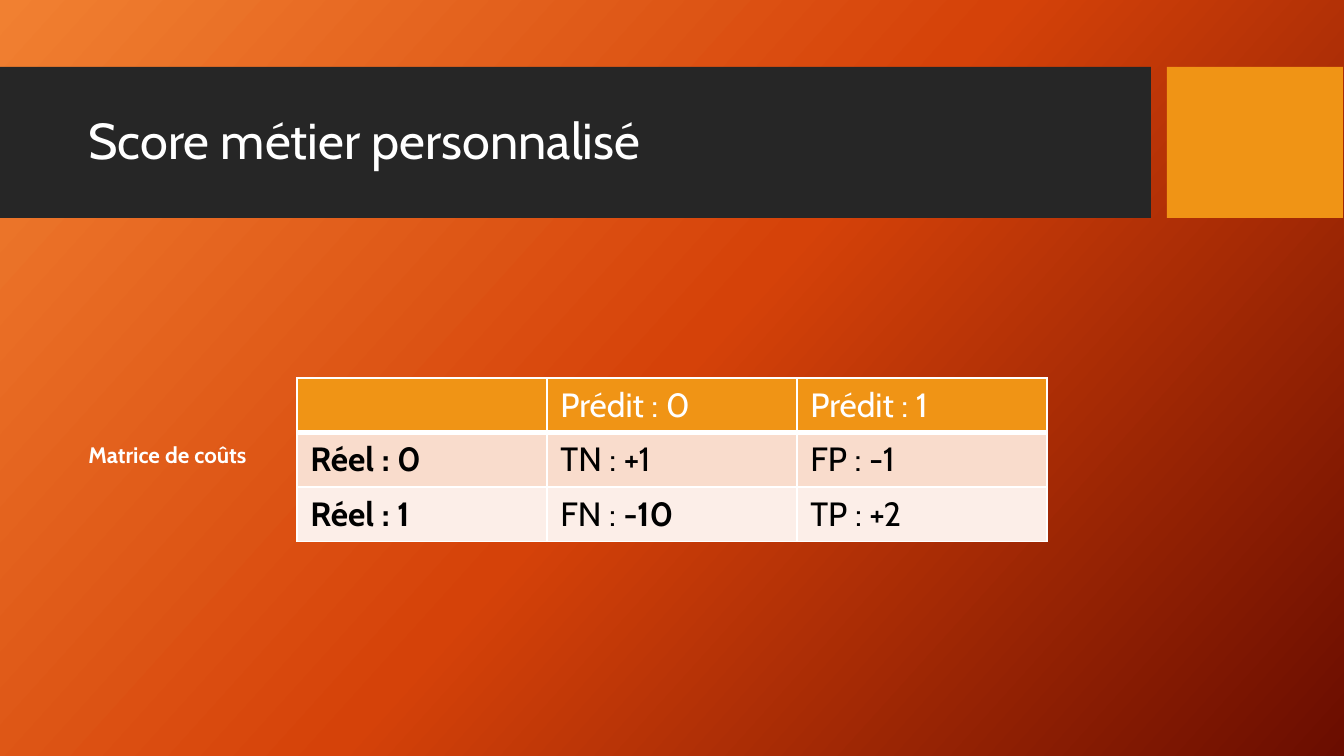
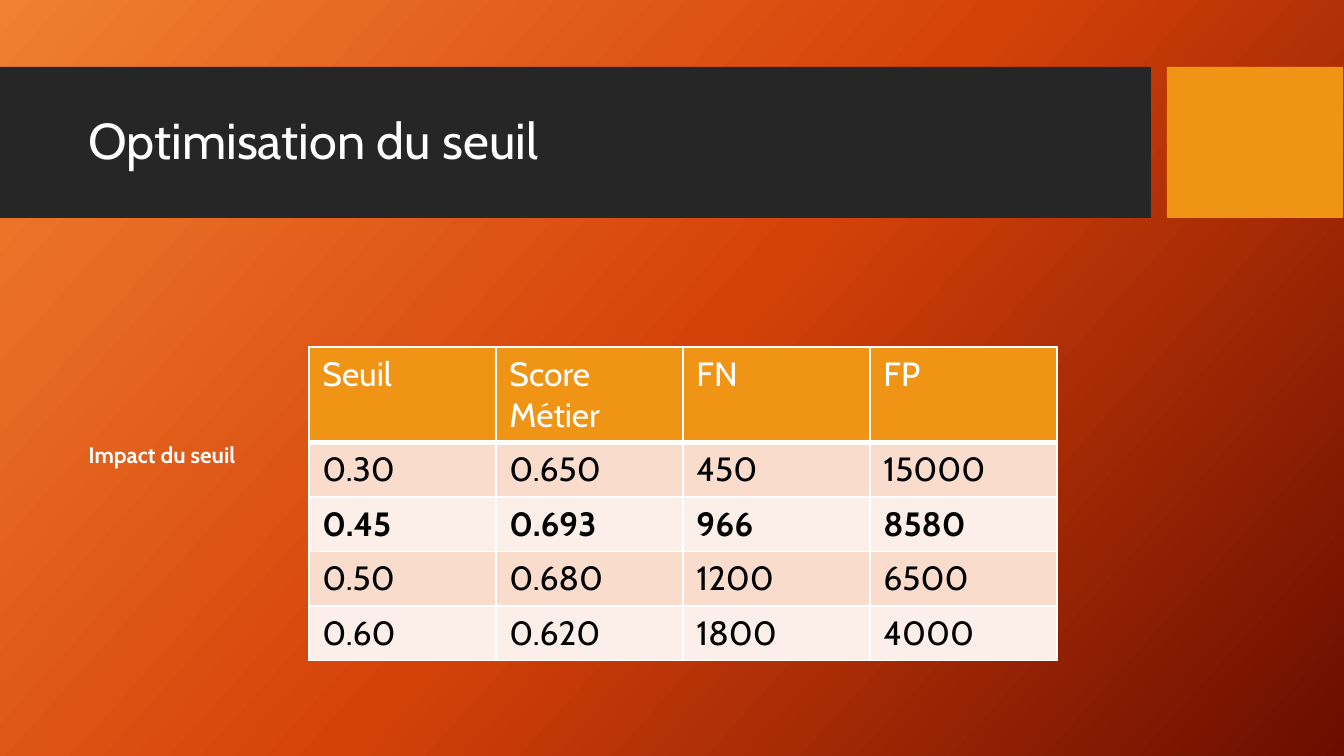
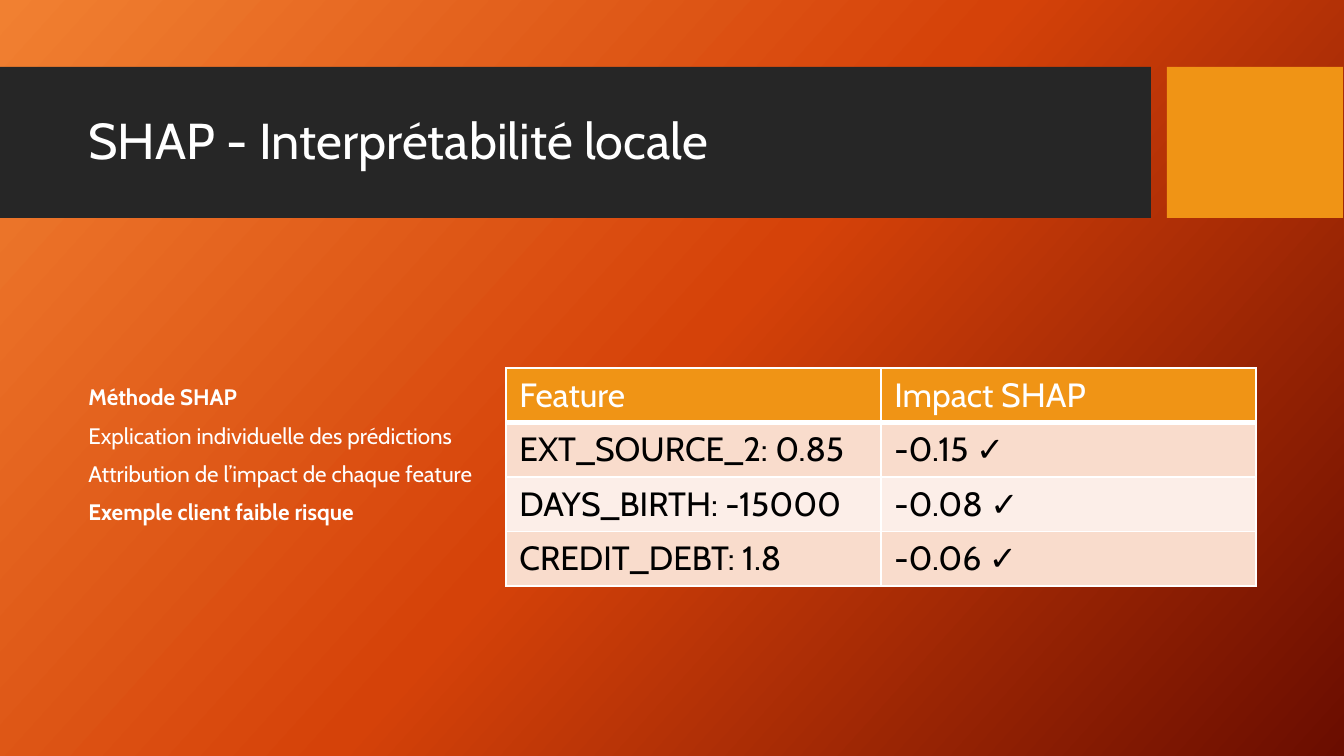
from copy import deepcopy
from dataclasses import dataclass

from lxml.etree import SubElement
from pptx import Presentation
from pptx.dml.color import RGBColor
from pptx.enum.shapes import MSO_SHAPE
from pptx.enum.text import MSO_ANCHOR, MSO_AUTO_SIZE, PP_ALIGN
from pptx.oxml.ns import qn
from pptx.util import Pt

EMU_PER_PX = 914400 / 134.4
FONT = "Cabin"
WHITE = RGBColor(0xFF, 0xFF, 0xFF)
BLACK = RGBColor(0x00, 0x00, 0x00)
CHARCOAL = RGBColor(0x26, 0x26, 0x26)
AMBER = RGBColor(0xF0, 0x94, 0x15)
PEACH = RGBColor(0xF9, 0xDC, 0xCC)
CREAM = RGBColor(0xFC, 0xEE, 0xE8)
BACKDROP = (
    (0.0, RGBColor(0xF1, 0x80, 0x31)),
    (0.5, RGBColor(0xD5, 0x42, 0x09)),
    (1.0, RGBColor(0x6A, 0x0D, 0x00)),
)
BACKDROP_ANGLE = 42
SECTION_LAYOUT = 2
ROW_HEIGHT = 44


@dataclass(frozen=True)
class Box:
    left: int
    top: int
    width: int
    height: int


@dataclass(frozen=True)
class Band:
    box: Box
    color: RGBColor


@dataclass(frozen=True)
class Span:
    text: str
    bold: bool = False


Line = tuple[Span, ...]


@dataclass(frozen=True)
class Grid:
    left: int
    top: int
    column_width: int
    rows: tuple[tuple[Line, ...], ...]


@dataclass(frozen=True)
class TablePage:
    title: str
    notes: tuple[Line, ...]
    grid: Grid


def plain(*texts: str) -> tuple[Line, ...]:
    return tuple((Span(text),) for text in texts)


def strong(*texts: str) -> tuple[Line, ...]:
    return tuple((Span(text, bold=True),) for text in texts)


TITLE_BOX = Box(75, 83, 1060, 120)
NOTES_BOX = Box(75, 258, 418, 396)
BANDS = (
    Band(Box(0, 67, 1151, 151), CHARCOAL),
    Band(Box(1167, 67, 176, 151), AMBER),
)
PAGES = (
    TablePage(
        "Score métier personnalisé",
        strong("Matrice de coûts"),
        Grid(297, 378, 250, (
            plain("", "Prédit : 0", "Prédit : 1"),
            strong("Réel : 0") + plain("TN : +1", "FP : -1"),
            strong("Réel : 1")
            + ((Span("FN : "), Span("-10", bold=True)),)
            + plain("TP : +2"),
        )),
    ),
    TablePage(
        "Optimisation du seuil",
        strong("Impact du seuil"),
        Grid(309, 347, 187, (
            plain("Seuil", "Score Métier", "FN", "FP"),
            plain("0.30", "0.650", "450", "15000"),
            strong("0.45", "0.693", "966", "8580"),
            plain("0.50", "0.680", "1200", "6500"),
            plain("0.60", "0.620", "1800", "4000"),
        )),
    ),
    TablePage(
        "SHAP - Interprétabilité locale",
        strong("Méthode SHAP")
        + plain(
            "Explication individuelle des prédictions",
            "Attribution de l’impact de chaque feature",
        )
        + strong("Exemple client faible risque"),
        Grid(506, 368, 375, (
            plain("Feature", "Impact SHAP"),
            plain("EXT_SOURCE_2: 0.85", "-0.15 ✓"),
            plain("DAYS_BIRTH: -15000", "-0.08 ✓"),
            plain("CREDIT_DEBT: 1.8", "-0.06 ✓"),
        )),
    ),
)


def px(length: int) -> int:
    return round(length * EMU_PER_PX)


def edges(box: Box) -> tuple[int, ...]:
    return px(box.left), px(box.top), px(box.width), px(box.height)


def write_line(para, line: Line, *, size: float, color: RGBColor) -> None:
    for span in line:
        if not span.text:
            continue
        run = para.add_run()
        run.text = span.text
        font = run.font
        font.name, font.size, font.bold = FONT, Pt(size), span.bold
        font.color.rgb = color
        run._r.get_or_add_rPr().set("cap", "none")


def fill_placeholder(holder, box: Box, lines: tuple[Line, ...], *,
                     size: float, space_before: float = 0) -> None:
    holder.left, holder.top, holder.width, holder.height = edges(box)
    frame = holder.text_frame
    frame.word_wrap = True
    frame.auto_size = MSO_AUTO_SIZE.NONE
    frame.vertical_anchor = MSO_ANCHOR.MIDDLE
    for index, line in enumerate(lines):
        para = frame.add_paragraph() if index else frame.paragraphs[0]
        para.alignment = PP_ALIGN.LEFT
        para.line_spacing = 0.9
        para.space_before = Pt(space_before)
        write_line(para, line, size=size, color=WHITE)


def set_borders(cell, *, bottom: float) -> None:
    properties = cell._tc.get_or_add_tcPr()
    widths = {"a:lnL": 1, "a:lnR": 1, "a:lnT": 1, "a:lnB": bottom}
    for position, (tag, width) in enumerate(widths.items()):
        border = SubElement(properties, qn(tag), w=str(Pt(width)))
        fill = SubElement(border, qn("a:solidFill"))
        SubElement(fill, qn("a:srgbClr"), val=str(WHITE))
        properties.insert(position, border)


def draw_grid(page, grid: Grid) -> None:
    row_count, column_count = len(grid.rows), len(grid.rows[0])
    box = Box(grid.left, grid.top, grid.column_width * column_count,
              ROW_HEIGHT * row_count)
    table = page.shapes.add_table(row_count, column_count, *edges(box)).table
    for column in table.columns:
        column.width = px(grid.column_width)
    for row_index, lines in enumerate(grid.rows):
        header = row_index == 0
        table.rows[row_index].height = px(ROW_HEIGHT)
        for column_index, line in enumerate(lines):
            cell = table.cell(row_index, column_index)
            cell.fill.solid()
            cell.fill.fore_color.rgb = (
                AMBER if header else PEACH if row_index % 2 else CREAM)
            set_borders(cell, bottom=3 if header else 1)
            write_line(cell.text_frame.paragraphs[0], line, size=18,
                       color=WHITE if header else BLACK)


def paint_backdrop(master) -> None:
    fill = master.background.fill
    fill.gradient()
    fill.gradient_angle = 360 - BACKDROP_ANGLE
    stop_list = master._element.xpath(".//p:bg//a:gsLst")[0]
    stop_list.append(deepcopy(stop_list[-1]))
    for stop, (position, color) in zip(fill.gradient_stops, BACKDROP):
        stop.position = position
        stop.color.rgb = color


def move_bands_to_layout(page) -> None:
    for band in BANDS:
        shape = page.shapes.add_shape(MSO_SHAPE.RECTANGLE, *edges(band.box))
        shape.shadow.inherit = False
        shape.fill.solid()
        shape.fill.fore_color.rgb = band.color
        shape.line.fill.background()
        page.slide_layout.shapes._spTree.append(shape._element)


def main() -> None:
    deck = Presentation()
    deck.slide_width, deck.slide_height = px(1344), px(756)
    paint_backdrop(deck.slide_master)
    layout = deck.slide_layouts[SECTION_LAYOUT]
    for index, content in enumerate(PAGES):
        page = deck.slides.add_slide(layout)
        if index == 0:
            move_bands_to_layout(page)
        fill_placeholder(page.shapes.title, TITLE_BOX, plain(content.title), size=27)
        draw_grid(page, content.grid)
        fill_placeholder(page.placeholders[1], NOTES_BOX, content.notes,
                         size=12, space_before=7.5)
    deck.save("out.pptx")


if __name__ == "__main__":
    main()
